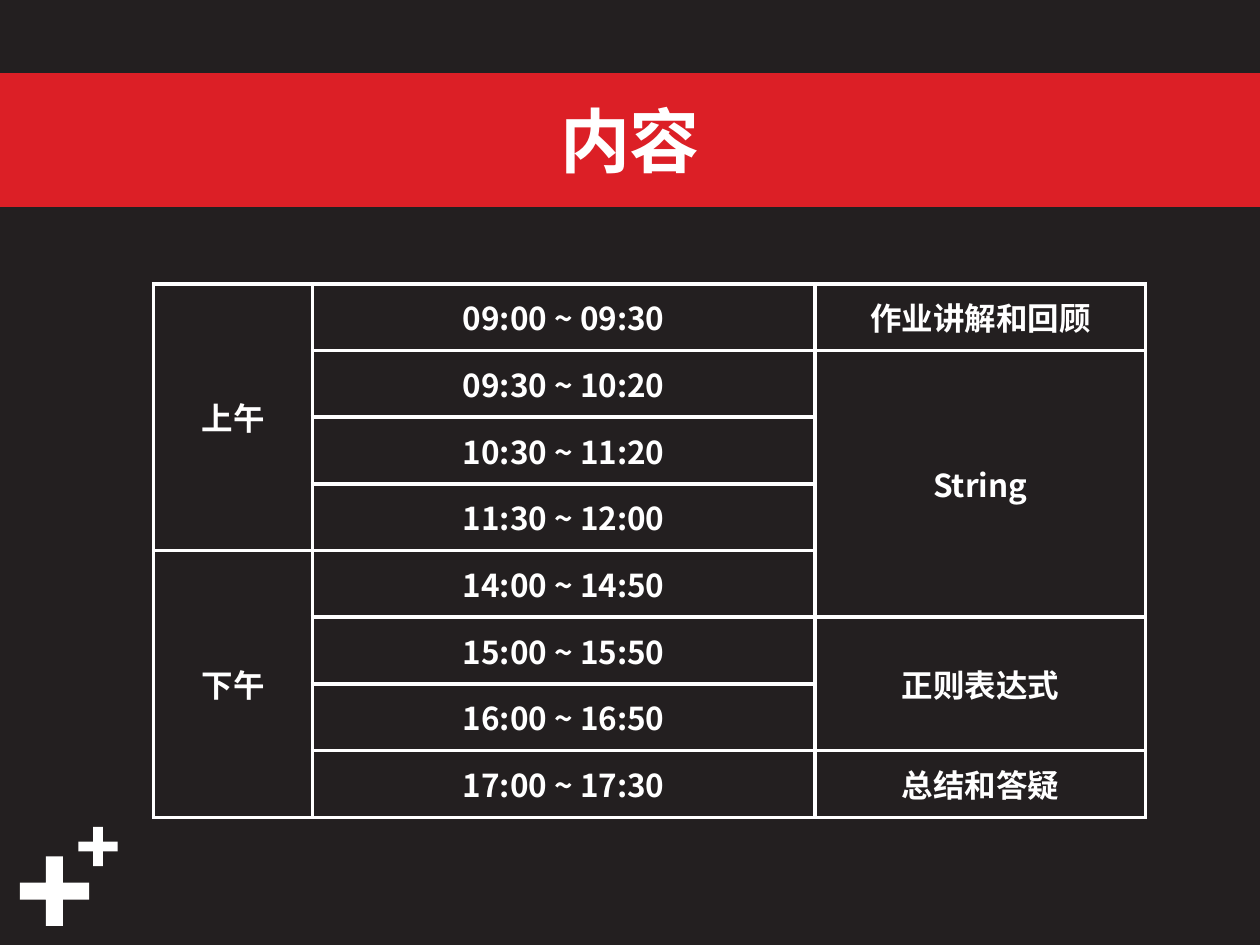
from dataclasses import dataclass

from lxml.etree import SubElement
from pptx import Presentation
from pptx.dml.color import RGBColor
from pptx.enum.shapes import MSO_SHAPE as SHAPE
from pptx.enum.text import MSO_ANCHOR as ANCHOR, MSO_AUTO_SIZE as AUTOSIZE, PP_ALIGN as ALIGN
from pptx.oxml import parse_xml
from pptx.oxml.ns import nsdecls, qn
from pptx.util import Pt


@dataclass(frozen=True)
class Theme:
    font: str = "Noto Sans CJK SC"
    dark: str = "231F20"
    red: str = "DC1F26"
    white: str = "FFFFFF"
    title_size: float = 40
    body_size: float = 18
    band_line: float = 3
    grid_line: float = 2.25


class Deck:
    """Draws styled elements on the current slide."""

    def __init__(self, prs, theme):
        self.theme = theme
        self.slide = prs.slides.add_slide(prs.slide_layouts[5])
        self.fill(self.slide.background, theme.dark)

    def fill(self, target, color):
        target.fill.solid()
        target.fill.fore_color.rgb = RGBColor.from_string(color)

    def text(self, tf, words, size):
        p = tf.paragraphs[0]
        p.alignment = ALIGN.CENTER
        r = p.add_run()
        r.text = words
        r.font.size = Pt(size)
        r.font.bold = True
        r.font.name = self.theme.font
        r.font.color.rgb = RGBColor.from_string(self.theme.white)
        SubElement(r.font._element, qn("a:ea"), typeface=self.theme.font)

    def title(self, words, x, y, w, h):
        sp = self.slide.shapes.title
        sp.left, sp.top, sp.width, sp.height = Pt(x), Pt(y), Pt(w), Pt(h)
        self.fill(sp, self.theme.red)
        sp.line.color.rgb = RGBColor.from_string(self.theme.red)
        sp.line.width = Pt(self.theme.band_line)
        tf = sp.text_frame
        tf.auto_size = AUTOSIZE.NONE
        tf.vertical_anchor = ANCHOR.MIDDLE
        self.text(tf, words, self.theme.title_size)

    def plus(self, x, y, size):
        sp = self.slide.shapes.add_shape(SHAPE.CROSS, Pt(x), Pt(y), Pt(size), Pt(size))
        sp.adjustments[0] = 0.378
        sp.shadow.inherit = False
        self.fill(sp, self.theme.white)
        sp.line.fill.background()

    def borders(self, cell):
        tcPr = cell._tc.get_or_add_tcPr()
        for i, side in enumerate("LRTB"):
            tcPr.insert(i, parse_xml(
                f'<a:ln{side} {nsdecls("a")} w="{Pt(self.theme.grid_line)}"><a:solidFill>'
                f'<a:srgbClr val="{self.theme.white}"/></a:solidFill></a:ln{side}>'))

    def table(self, columns, x, y, widths, row_height):
        rows = sum(span for _, span in columns[0])
        frame = self.slide.shapes.add_table(
            rows, len(widths), Pt(x), Pt(y), Pt(sum(widths)), Pt(rows * row_height))
        tbl = frame.table
        tbl.first_row = tbl.horz_banding = False
        for column, width in zip(tbl.columns, widths):
            column.width = Pt(width)
        for row in tbl.rows:
            row.height = Pt(row_height)
        for cell in tbl.iter_cells():
            cell.fill.background()
            cell.vertical_anchor = ANCHOR.MIDDLE
            self.borders(cell)
        for col, entries in enumerate(columns):
            top = 0
            for words, span in entries:
                cell = tbl.cell(top, col)
                if span > 1:
                    cell.merge(tbl.cell(top + span - 1, col))
                self.text(cell.text_frame, words, self.theme.body_size)
                top += span


HALVES = [("上午", 4), ("下午", 4)]
TIMES = ["09:00 ~ 09:30", "09:30 ~ 10:20", "10:30 ~ 11:20", "11:30 ~ 12:00",
         "14:00 ~ 14:50", "15:00 ~ 15:50", "16:00 ~ 16:50", "17:00 ~ 17:30"]
TOPICS = [("作业讲解和回顾", 1), ("String", 4), ("正则表达式", 2), ("总结和答疑", 1)]

prs = Presentation()
prs.slide_width, prs.slide_height = Pt(720), Pt(540)
deck = Deck(prs, Theme())
deck.title("内容", 0, 43.2, 720, 73.6)
deck.plus(11.3, 489.4, 39.6)
deck.plus(44.8, 472.5, 22.5)
deck.table([HALVES, [(time, 1) for time in TIMES], TOPICS],
           87.8, 162.2, [90.7, 287.3, 188.9], 38.1)
prs.save("out.pptx")
